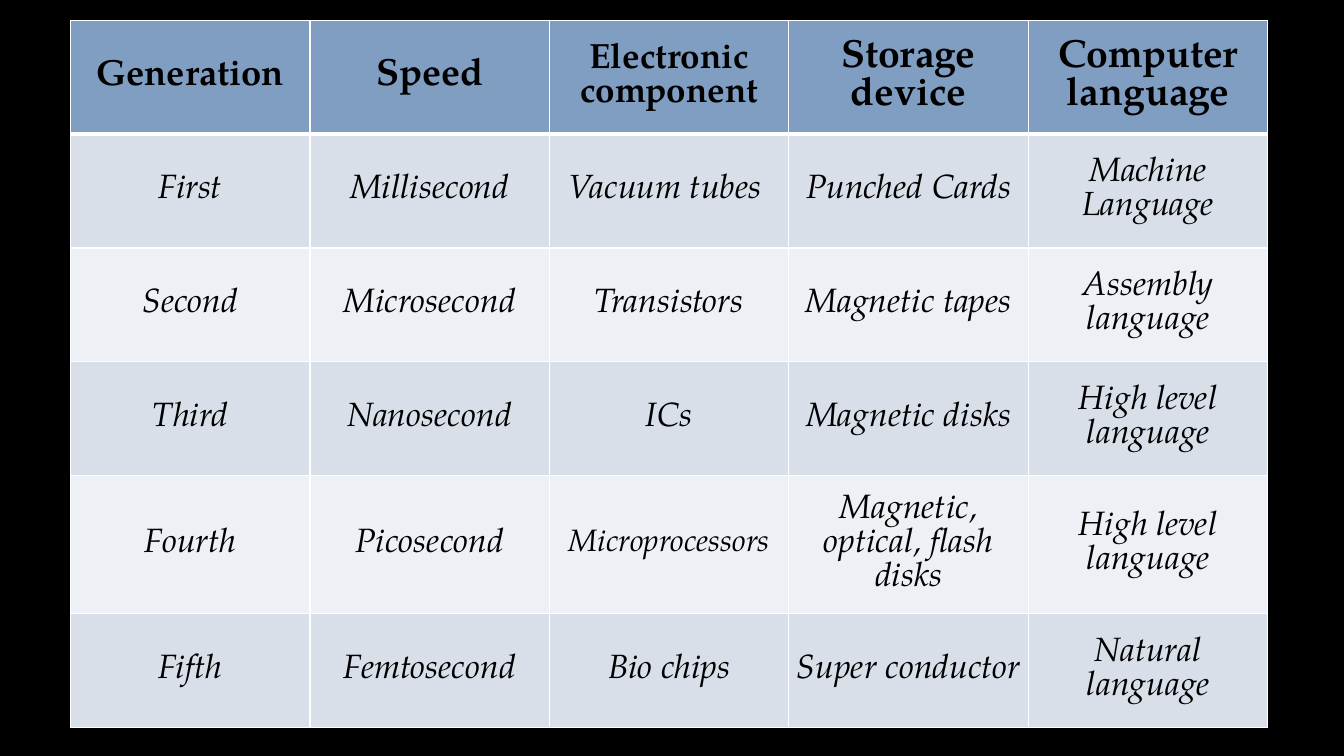
from dataclasses import dataclass
from typing import Any

from lxml.etree import SubElement
from pptx import Presentation
from pptx.dml.color import RGBColor
from pptx.enum.text import MSO_ANCHOR, PP_ALIGN
from pptx.oxml.ns import qn
from pptx.util import Inches, Pt


@dataclass(frozen=True)
class Theme:
    font: str = "TeX Gyre Pagella"
    background: str = "000000"
    ink: str = "000000"
    border: str = "FFFFFF"
    header: str = "809EC2"
    bands: tuple[str, str] = ("D8DFE9", "EDF0F4")
    body_size: int = 24
    small_size: int = 22
    thin: int = 1
    thick: int = 3


@dataclass(frozen=True)
class Entry:
    text: str
    size: int


@dataclass(frozen=True)
class Row:
    entries: list[Entry]
    fill: str
    height: float
    header: bool = False


THEME = Theme()
SLIDE_W, SLIDE_H = 13.33, 7.5
TABLE_LEFT, TABLE_TOP = 0.7, 0.2
COLUMN_W = 2.375
ROW_H, TALL_ROW_H = 1.13, 1.37
MARGINS = dict.fromkeys(
    ("margin_left", "margin_right", "margin_top", "margin_bottom"), Inches(0.05)
)
CELL_FORMAT = {"vertical_anchor": MSO_ANCHOR.MIDDLE, **MARGINS}

HEADINGS = [
    Entry("Generation", 26),
    Entry("Speed", 27),
    Entry("Electronic\ncomponent", 25),
    Entry("Storage device", 28),
    Entry("Computer language", 28),
]
GENERATIONS = [
    ("First", "Millisecond", "Vacuum tubes ", "Punched Cards", "Machine Language"),
    ("Second", "Microsecond", "Transistors", "Magnetic tapes", "Assembly language"),
    ("Third", "Nanosecond", "ICs", "Magnetic disks", "High level language"),
    ("Fourth", "Picosecond", "Microprocessors", "Magnetic, optical, flash disks",
     "High level language"),
    ("Fifth", "Femtosecond", "Bio chips", "Super conductor", "Natural language"),
]
SMALL_TEXTS = {"Microprocessors"}
TALL_GENERATION = "Fourth"


def apply(target: Any, values: dict[str, Any]) -> None:
    for name, value in values.items():
        setattr(target, name, value)


def body_row(index: int, texts: tuple[str, ...]) -> Row:
    entries = [
        Entry(t, THEME.small_size if t in SMALL_TEXTS else THEME.body_size)
        for t in texts
    ]
    height = TALL_ROW_H if texts[0] == TALL_GENERATION else ROW_H
    return Row(entries, THEME.bands[index % 2], height)


def add_borders(cell: Any, widths: dict[str, int]) -> None:
    """Draw the cell's edges; call before filling, as lines precede fills in XML."""
    tc_pr = cell._tc.get_or_add_tcPr()
    for edge, width in widths.items():
        line = SubElement(tc_pr, qn(f"a:ln{edge}"), w=str(Pt(width)))
        fill = SubElement(line, qn("a:solidFill"))
        SubElement(fill, qn("a:srgbClr"), val=THEME.border)


def write_entry(cell: Any, entry: Entry, header: bool) -> None:
    tf = cell.text_frame
    tf.word_wrap = True
    for i, text in enumerate(entry.text.split("\n")):
        p = tf.add_paragraph() if i else tf.paragraphs[0]
        p.alignment = PP_ALIGN.CENTER
        r = p.add_run()
        r.text = text
        apply(r.font, {"name": THEME.font, "size": Pt(entry.size),
                       "bold": header, "italic": not header})
        r.font.color.rgb = RGBColor.from_string(THEME.ink)


def add_generation_table(s: Any, rows: list[Row]) -> None:
    columns = len(HEADINGS)
    table = s.shapes.add_table(
        len(rows), columns, Inches(TABLE_LEFT), Inches(TABLE_TOP),
        Inches(COLUMN_W * columns), Inches(sum(row.height for row in rows)),
    ).table
    for column in table.columns:
        column.width = Inches(COLUMN_W)
    for i, row in enumerate(rows):
        table.rows[i].height = Inches(row.height)
        top = THEME.thick if i == 1 else THEME.thin
        bottom = THEME.thick if row.header else THEME.thin
        edges = {"L": THEME.thin, "R": THEME.thin, "T": top, "B": bottom}
        for j, entry in enumerate(row.entries):
            cell = table.cell(i, j)
            apply(cell, CELL_FORMAT)
            add_borders(cell, edges)
            cell.fill.solid()
            cell.fill.fore_color.rgb = RGBColor.from_string(row.fill)
            write_entry(cell, entry, row.header)


def main() -> None:
    prs = Presentation()
    apply(prs, {"slide_width": Inches(SLIDE_W), "slide_height": Inches(SLIDE_H)})
    s = prs.slides.add_slide(prs.slide_layouts[6])
    s.background.fill.solid()
    s.background.fill.fore_color.rgb = RGBColor.from_string(THEME.background)
    heading_row = Row(HEADINGS, THEME.header, ROW_H, header=True)
    body = [body_row(i, texts) for i, texts in enumerate(GENERATIONS)]
    add_generation_table(s, [heading_row, *body])
    prs.save("out.pptx")


if __name__ == "__main__":
    main()
